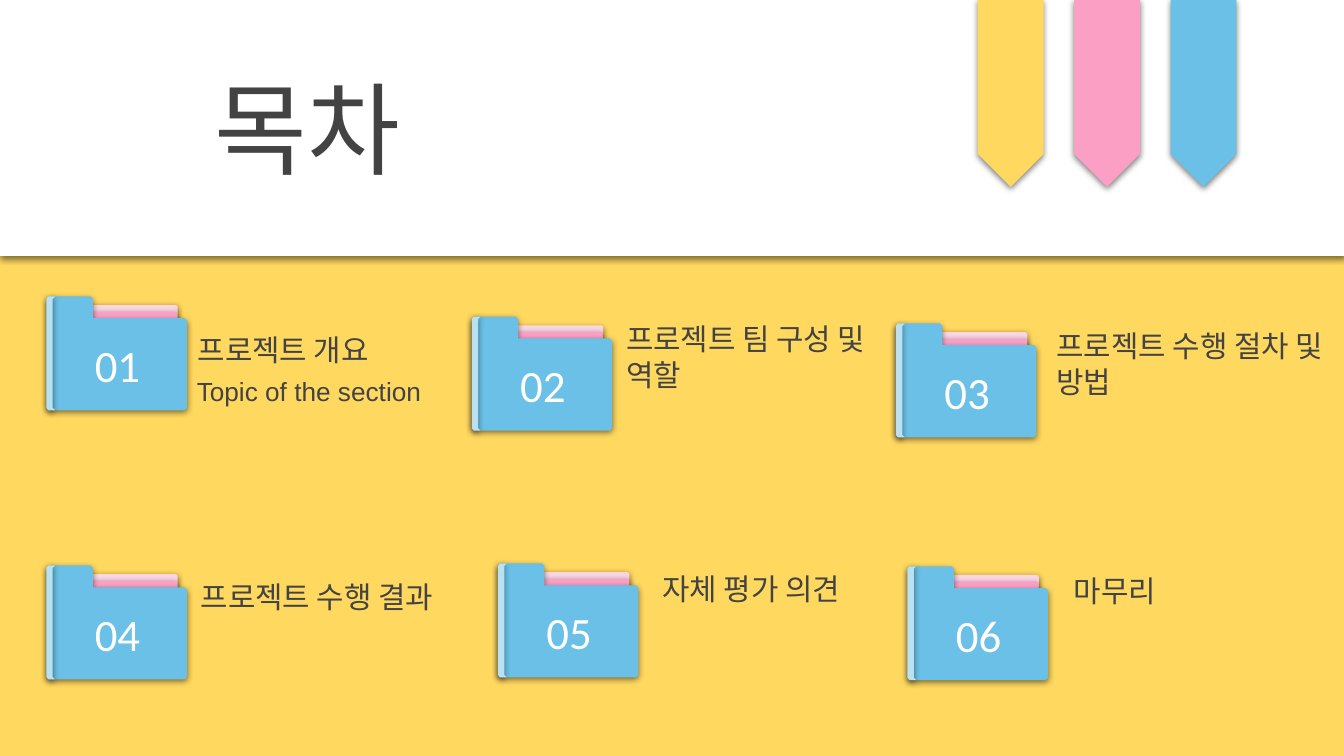
from lxml import etree
from pptx import Presentation
from pptx import util as u
from pptx.dml.color import RGBColor
from pptx.enum import shapes, text
from pptx.oxml import ns

YELLOW = RGBColor(0xFF, 0xD8, 0x60)
PINK = RGBColor(0xFB, 0x9F, 0xC5)
PALE_PINK = RGBColor(0xFA, 0xD5, 0xE4)
BLUE = RGBColor(0x6A, 0xC0, 0xE6)
PALE_BLUE = RGBColor(0xBA, 0xE1, 0xF1)
WHITE = RGBColor(0xFF, 0xFF, 0xFF)
DARK = RGBColor(0x43, 0x43, 0x43)

FOLDER = [(6, 0), (111, 0), (117, 6), (117, 55), (348, 55), (354, 61),
          (354, 281), (348, 287), (6, 287), (0, 281), (0, 6)]
SPINE = [(5, 0), (22, 0), (16, 6), (16, 281), (22, 287),
         (5, 287), (0, 281), (0, 6)]

TOPICS = [
    ("프로젝트 개요", (1.17, 7.47), (4.65, 7.95, 8.89, 1.65)),
    ("프로젝트 팀 구성 및 역할", (11.89, 7.98), (15.44, 8.48, 7.16, 1.75)),
    ("프로젝트 수행 절차 및 방법", (22.58, 8.15), (26.29, 8.76, 7.62, 1.65)),
    ("프로젝트 수행 결과", (1.17, 14.25), (4.72, 14.17, 8.89, 1.65)),
    ("자체 평가 의견", (12.55, 14.2), (16.36, 13.97, 6.3, 1.65)),
    ("마무리", (22.87, 14.27), (26.72, 14.02, 7.1, 1.65)),
]


def box(left, top, width, height):
    return [u.Cm(length) for length in (left, top, width, height)]


def paint(shape, color):
    shape.fill.solid()
    shape.fill.fore_color.rgb = color
    shape.line.fill.background()
    shape.shadow.inherit = False
    effects = shape.element.spPr.find(ns.qn("a:effectLst"))
    shadow = etree.SubElement(effects, ns.qn("a:outerShdw"), blurRad="57150",
                              dist="19050", dir="5400000", algn="bl", rotWithShape="0")
    black = etree.SubElement(shadow, ns.qn("a:srgbClr"), val="000000")
    etree.SubElement(black, ns.qn("a:alpha"), val="50000")


def write(shape, words, size, color=DARK, font="Calibri", anchor=text.MSO_ANCHOR.TOP,
          inset=0.34, left_inset=None, wrap=True):
    frame = shape.text_frame
    frame.word_wrap = wrap
    frame.auto_size = text.MSO_AUTO_SIZE.NONE
    frame.vertical_anchor = anchor
    frame.margin_left = u.Cm(inset if left_inset is None else left_inset)
    frame.margin_top = frame.margin_right = frame.margin_bottom = u.Cm(inset)
    paragraph = frame.paragraphs[0]
    paragraph.alignment = text.PP_ALIGN.LEFT
    run = paragraph.add_run()
    run.text = words
    run.font.size = u.Pt(size)
    run.font.name = font
    run.font.color.rgb = color


def add_preset(parent, preset, place, color):
    shape = parent.add_shape(preset, *box(*place))
    paint(shape, color)
    return shape


def add_outline(parent, points, left, top, color):
    builder = parent.build_freeform(*points[0], scale=u.Cm(0.01))
    builder.add_line_segments(points[1:], close=True)
    paint(builder.convert_to_shape(u.Cm(left), u.Cm(top)), color)


def add_ribbon(parent, left, color):
    ribbon = add_preset(parent, shapes.MSO_SHAPE.PENTAGON, (left, 1.52, 4.72, 1.66), color)
    ribbon.rotation = 90


def add_folder(slide, number, left, top):
    parts = slide.shapes.add_group_shape().shapes
    sheet = add_preset(parts, shapes.MSO_SHAPE.ROUNDED_RECTANGLE,
                       (left + 1.05, top + 0.22, 2.26, 1.17), PALE_PINK)
    sheet.adjustments[0] = 0.05
    add_preset(parts, shapes.MSO_SHAPE.RECTANGLE,
               (left + 1.06, top + 0.39, 2.24, 1.15), PINK)
    add_outline(parts, FOLDER, left, top, BLUE)
    add_outline(parts, SPINE, left, top, PALE_BLUE)
    label = parts.add_textbox(*box(left + 0.97, top + 0.79, 1.73, 1.63))
    write(label, f"{number:02d}", 32, WHITE, inset=0.25, wrap=False)


def add_title(slide, words):
    title = slide.shapes.title
    title.left, title.top, title.width, title.height = box(0, -0.03, 33.87, 6.48)
    paint(title, WHITE)
    write(title, words, 72, anchor=text.MSO_ANCHOR.MIDDLE, left_inset=5.41)


def main():
    deck = Presentation()
    deck.slide_width, deck.slide_height = u.Cm(33.87), u.Cm(19.05)
    slide = deck.slides.add_slide(deck.slide_layouts[5])
    slide.background.fill.solid()
    slide.background.fill.fore_color.rgb = YELLOW

    add_title(slide, "목차")
    ribbons = slide.shapes.add_group_shape().shapes
    for position, color in enumerate((YELLOW, PINK, BLUE)):
        add_ribbon(ribbons, 23.11 + 2.43 * position, color)

    for number, (topic, folder_corner, topic_place) in enumerate(TOPICS, 1):
        add_folder(slide, number, *folder_corner)
        write(slide.shapes.add_textbox(*box(*topic_place)), topic, 21.3,
              anchor=text.MSO_ANCHOR.BOTTOM)
    subtitle = slide.shapes.add_textbox(*box(4.62, 9.12, 8.89, 1.4))
    write(subtitle, "Topic of the section", 18.7, font="Arial")

    deck.save("out.pptx")


if __name__ == "__main__":
    main()
